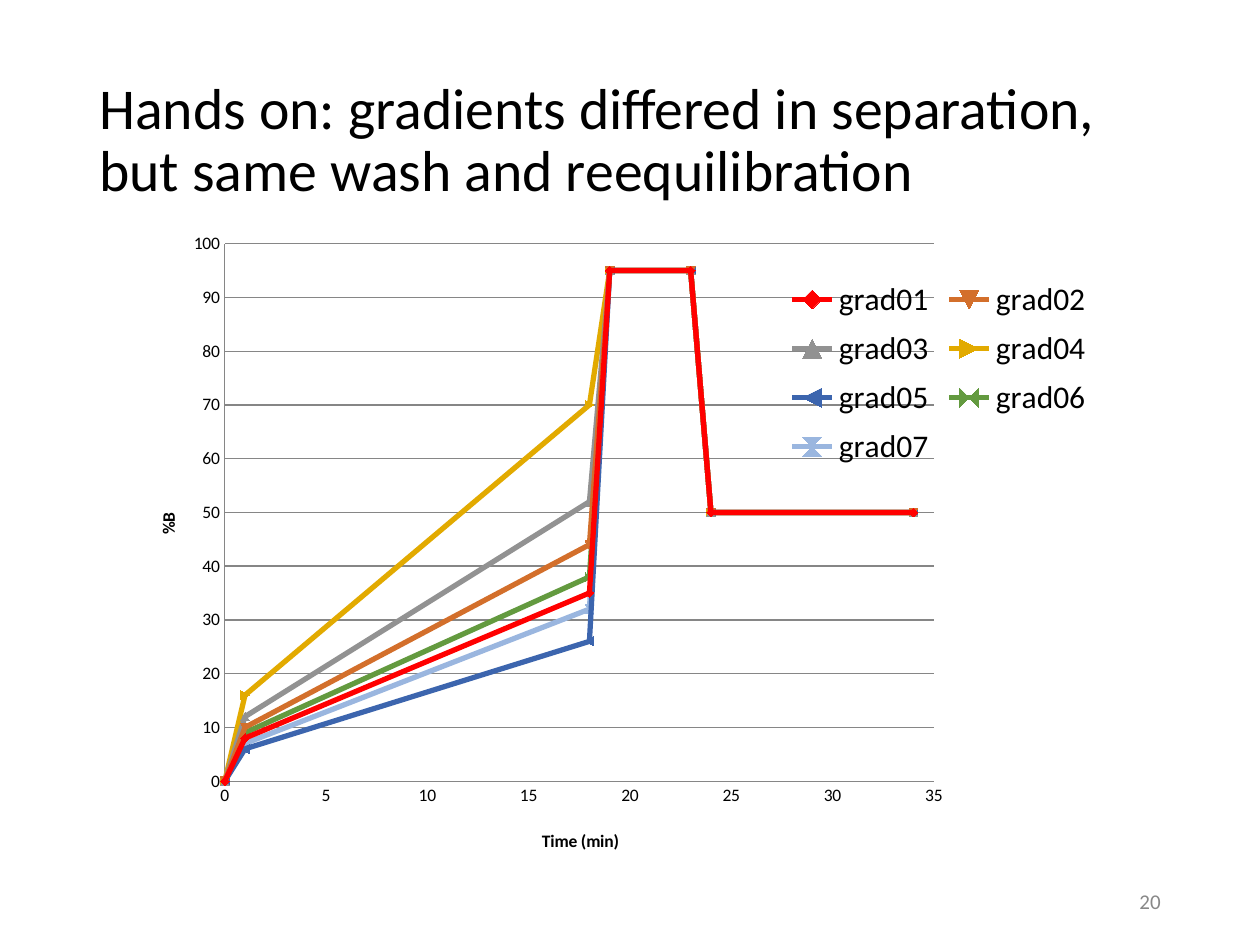
import lxml.etree
import pptx
import pptx.chart.data
import pptx.dml.color
import pptx.enum.chart
import pptx.enum.text
import pptx.oxml.ns
import pptx.util

Inches = pptx.util.Inches
COLORS = {
    "text": "000000", "number": "888888", "grid": "868686",
    "grad01": "FF0000", "grad02": "D36F2B", "grad03": "929292", "grad04": "E2AA00",
    "grad05": "3C65AE", "grad06": "639A3F", "grad07": "9AB6DF",
}
TIMES = [0, 1, 18, 19, 23, 24, 34]
WASH = [95, 95, 50, 50]
SEPARATION = {
    "grad01": (8, 35), "grad02": (10, 44), "grad03": (12, 52), "grad04": (16, 70),
    "grad05": (6, 26), "grad06": (9, 38), "grad07": (7, 32),
}


class Slide:
    """Hold the style and the current slide, and add elements to it."""

    font = "Calibri"

    def __init__(self, deck):
        self.page = deck.slides.add_slide(deck.slide_layouts[6])

    def color(self, name):
        return pptx.dml.color.RGBColor.from_string(COLORS[name])

    def apply(self, target, formats):
        for name, value in formats.items():
            setattr(target, name, value)

    def style(self, font, size, color="text", bold=False):
        self.apply(font, {"name": self.font, "size": pptx.util.Pt(size), "bold": bold})
        font.color.rgb = self.color(color)

    def stroke(self, line, color, width):
        line.color.rgb = self.color(color)
        line.width = pptx.util.Pt(width)

    def text(self, words, place, size, color, **formats):
        box = self.page.shapes.add_textbox(*map(Inches, place))
        self.apply(box.text_frame, {
            "word_wrap": True, "vertical_anchor": pptx.enum.text.MSO_ANCHOR.MIDDLE})
        para = box.text_frame.paragraphs[0]
        self.apply(para, formats)
        span = para.add_run()
        span.text = words
        self.style(span.font, size, color)

    def arrange(self, parent, after, **place):
        qn = pptx.oxml.ns.qn
        for old in parent.findall(qn("c:layout")):
            parent.remove(old)
        layout = lxml.etree.Element(qn("c:layout"))
        manual = lxml.etree.SubElement(layout, qn("c:manualLayout"))
        values = {"xMode": "edge", "yMode": "edge", **place}
        if "w" in place and after is None:
            values = {"layoutTarget": "inner", **values}
        for name, value in values.items():
            lxml.etree.SubElement(manual, qn("c:" + name)).set("val", str(value))
        index = 0 if after is None else parent.index(parent.find(qn(after))) + 1
        parent.insert(index, layout)

    def axis(self, axis, title, top, step, **place):
        self.apply(axis, {
            "minimum_scale": 0, "maximum_scale": top, "major_unit": step,
            "major_tick_mark": pptx.enum.chart.XL_TICK_MARK.NONE,
            "minor_tick_mark": pptx.enum.chart.XL_TICK_MARK.NONE})
        self.style(axis.tick_labels.font, 10)
        self.stroke(axis.format.line, "grid", 0.75)
        para = axis.axis_title.text_frame.paragraphs[0]
        span = para.add_run()
        span.text = title
        self.style(span.font, 10, bold=True)
        self.arrange(axis.axis_title._element, "c:tx", **place)

    def series(self, series, index):
        self.apply(series, {"smooth": False})
        self.stroke(series.format.line, series.name, 3)
        self.apply(series.marker, {
            "style": pptx.enum.chart.XL_MARKER_STYLE.AUTOMATIC, "size": 5})
        fill = series.marker.format.fill
        fill.solid()
        fill.fore_color.rgb = self.color(series.name)
        self.stroke(series.marker.format.line, series.name, 0.75)
        series._element.find(pptx.oxml.ns.qn("c:idx")).set("val", str(index))

    def gradients(self, place):
        data = pptx.chart.data.XyChartData()
        for name, ramp in SEPARATION.items():
            points = data.add_series(name)
            for time, percent in zip(TIMES, [0, *ramp, *WASH]):
                points.add_data_point(time, percent)
        chart = self.page.shapes.add_chart(
            pptx.enum.chart.XL_CHART_TYPE.XY_SCATTER_LINES,
            *map(Inches, place), data).chart
        self.apply(chart, {"has_title": False, "has_legend": True})
        self.style(chart.font, 10)
        chart.plots[0].vary_by_categories = False
        for index, series in enumerate(chart.plots[0].series, 1):
            self.series(series, index)
        self.axis(chart.category_axis, "Time (min)", 35, 5, x=0.41, y=0.93)
        self.axis(chart.value_axis, "%B", 100, 10, x=0.03, y=0.44)
        chart.category_axis.has_major_gridlines = False
        self.stroke(chart.value_axis.major_gridlines.format.line, "grid", 0.75)
        self.apply(chart.legend, {
            "position": pptx.enum.chart.XL_LEGEND_POSITION.RIGHT,
            "include_in_layout": False})
        self.style(chart.legend.font, 18)
        self.arrange(chart.legend._element, "c:legendPos", x=0.65, y=0.07, w=0.31, h=0.32)
        plot_area = chart._chartSpace.chart.plotArea
        self.arrange(plot_area, None, x=0.1, y=0.03, w=0.7, h=0.83)


def main():
    deck = pptx.Presentation()
    deck.slide_width, deck.slide_height = Inches(10), Inches(7.5)
    slide = Slide(deck)
    slide.text(
        "Hands on: gradients differed in separation, but same wash and reequilibration",
        (0.69, 0.4, 8.62, 1.45), 33, "text", line_spacing=0.9)
    slide.text("20", (7.06, 6.95, 2.25, 0.4), 12, "number",
               alignment=pptx.enum.text.PP_ALIGN.RIGHT)
    slide.gradients((0.98, 1.78, 8.04, 5.14))
    deck.save("out.pptx")


if __name__ == "__main__":
    main()
